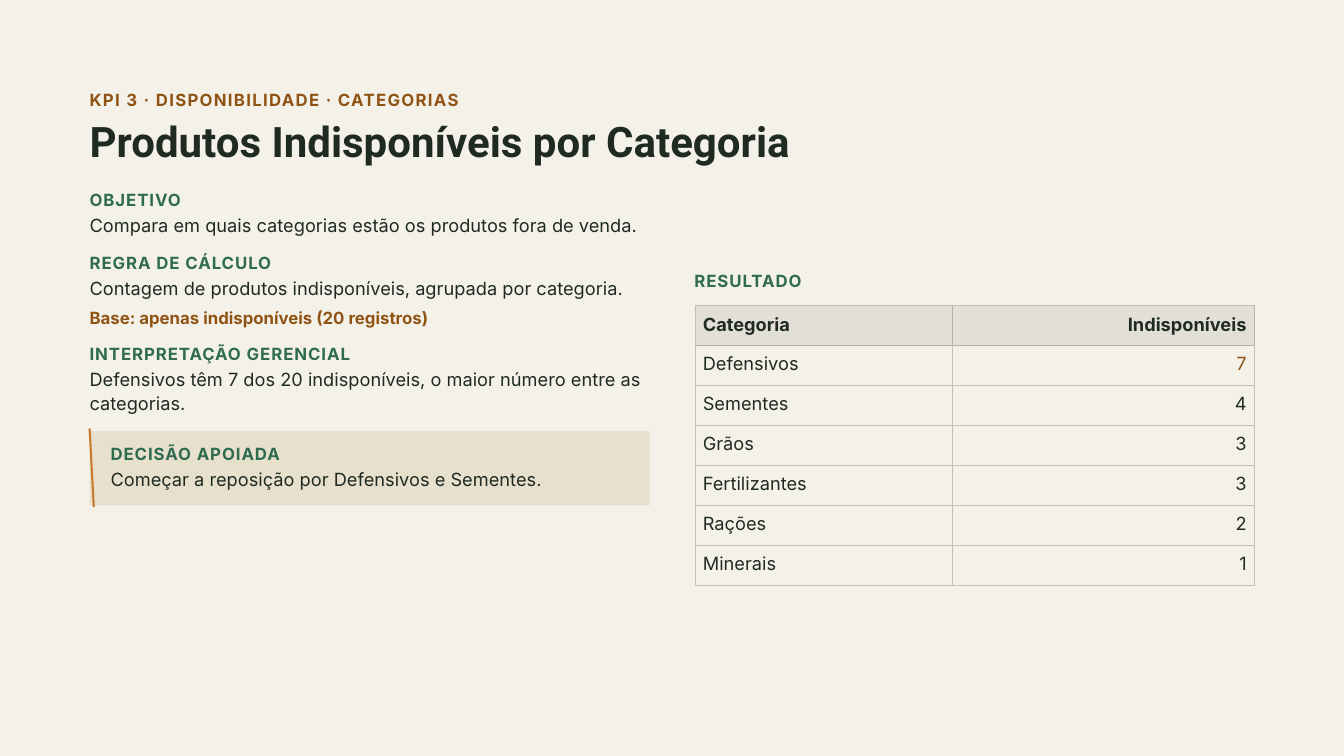
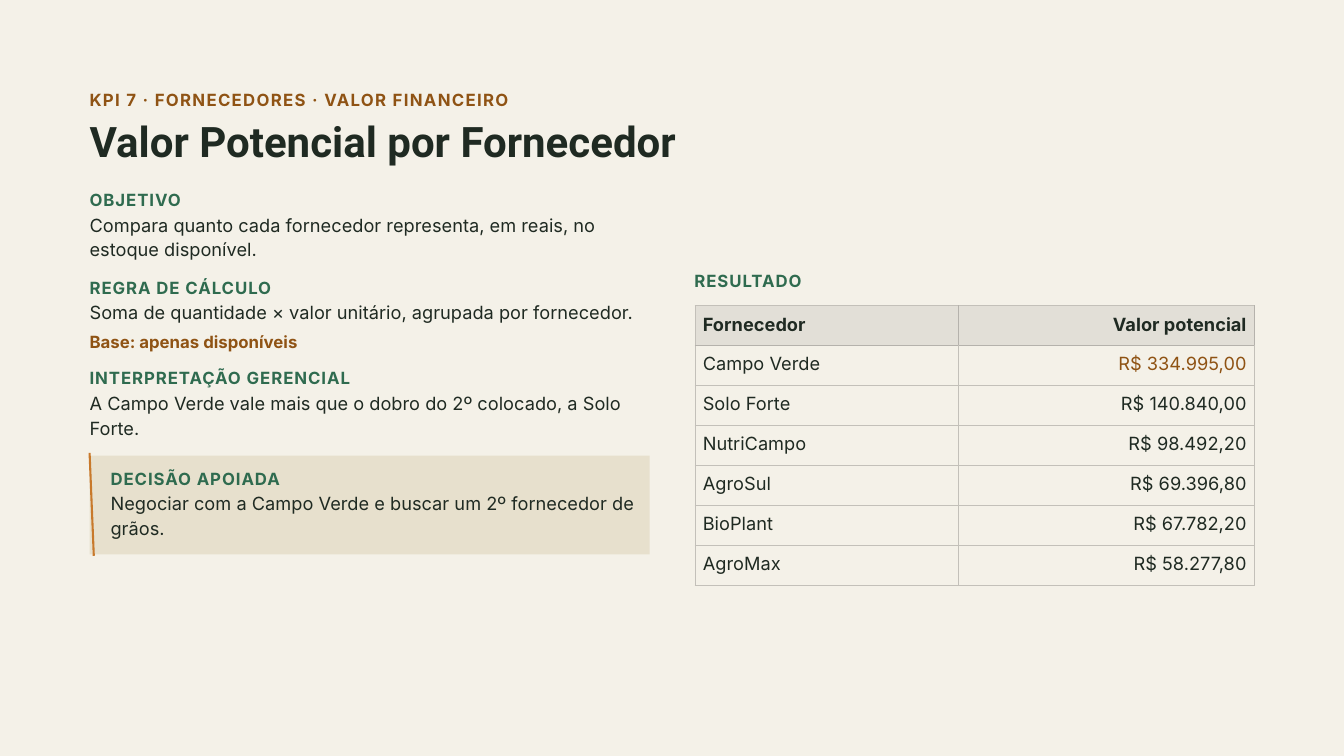
from lxml.etree import SubElement
from pptx import Presentation
from pptx.dml.color import RGBColor
from pptx.enum.shapes import MSO_CONNECTOR as Connector, MSO_SHAPE as Shape
from pptx.enum.text import MSO_ANCHOR as Anchor, MSO_AUTO_SIZE as AutoSize, PP_ALIGN as Align
from pptx.oxml.ns import qn
from pptx.util import Pt

PX = 9525  # EMU per px, slide is 1920 x 1080 px
COLORS = {
    "paper": "F4F1E8", "ink": "1F2A22", "green": "2F6B4F", "brown": "8F5314",
    "orange": "C8792B", "sand": "E7E0CD", "header": "E2DFD7",
    "grid": "C3C0B9", "header_grid": "B5B2AC",
}
# Text styles: font values, colour, exact line height and letter spacing (pt)
STYLES = {
    "eyebrow": ({"name": "Inter", "size": Pt(18), "bold": True}, "brown", 21.6, 1.4),
    "title": ({"name": "Roboto", "size": Pt(45), "bold": True}, "ink", 49.5, 0),
    "label": ({"name": "Inter", "size": Pt(18), "bold": True}, "green", 21.6, 1),
    "body": ({"name": "Inter", "size": Pt(19.5), "bold": False}, "ink", 26.3, 0),
    "base": ({"name": "Inter", "size": Pt(18), "bold": True}, "brown", 24.3, 0),
    "cell": ({"name": "Inter", "size": Pt(19.5), "bold": False}, "ink", 23.4, 0),
    "top_cell": ({"name": "Inter", "size": Pt(19.5), "bold": False}, "brown", 23.4, 0),
    "head_cell": ({"name": "Inter", "size": Pt(19.5), "bold": True}, "ink", 23.4, 0),
}
MARGIN, COLUMN = 128, 824
LABEL_STEP, LINE_STEP, SECTION_GAP = 31, 35, 24
ROW_HEIGHT = 57

# Each text comes with the number of lines it takes
KPIS = [
    {
        "eyebrow": "KPI 3 · DISPONIBILIDADE · CATEGORIAS",
        "title": "Produtos Indisponíveis por Categoria",
        "goal": ("Compara em quais categorias estão os produtos fora de venda.", 1),
        "rule": ("Contagem de produtos indisponíveis, agrupada por categoria.", 1),
        "base": "Base: apenas indisponíveis (20 registros)",
        "reading": ("Defensivos têm 7 dos 20 indisponíveis, o maior número entre as categorias.", 2),
        "decision": ("Começar a reposição por Defensivos e Sementes.", 1),
        "columns": (368, 431),
        "result": [
            ("Categoria", "Indisponíveis"), ("Defensivos", "7"), ("Sementes", "4"),
            ("Grãos", "3"), ("Fertilizantes", "3"), ("Rações", "2"), ("Minerais", "1"),
        ],
    },
    {
        "eyebrow": "KPI 7 · FORNECEDORES · VALOR FINANCEIRO",
        "title": "Valor Potencial por Fornecedor",
        "goal": ("Compara quanto cada fornecedor representa, em reais, no estoque disponível.", 2),
        "rule": ("Soma de quantidade × valor unitário, agrupada por fornecedor.", 1),
        "base": "Base: apenas disponíveis",
        "reading": ("A Campo Verde vale mais que o dobro do 2º colocado, a Solo Forte.", 2),
        "decision": ("Negociar com a Campo Verde e buscar um 2º fornecedor de grãos.", 2),
        "columns": (376, 423),
        "result": [
            ("Fornecedor", "Valor potencial"), ("Campo Verde", "R$ 334.995,00"),
            ("Solo Forte", "R$ 140.840,00"), ("NutriCampo", "R$ 98.492,20"),
            ("AgroSul", "R$ 69.396,80"), ("BioPlant", "R$ 67.782,20"),
            ("AgroMax", "R$ 58.277,80"),
        ],
    },
]


def rgb(color):
    return RGBColor.from_string(COLORS[color])


class Deck:
    def __init__(self):
        self.prs = Presentation()
        self.prs.slide_width, self.prs.slide_height = 1920 * PX, 1080 * PX
        paper = self.prs.slide_master.background.fill
        paper.solid()
        paper.fore_color.rgb = rgb("paper")
        self.slide = None

    def new_slide(self):
        self.slide = self.prs.slides.add_slide(self.prs.slide_layouts[5])

    def set_text(self, frame, text, style, align=Align.LEFT):
        font_values, color, line_height, spacing = STYLES[style]
        paragraph = frame.paragraphs[0]
        paragraph.alignment = align
        paragraph.line_spacing = Pt(line_height)
        run = paragraph.add_run()
        run.text = text
        for key, value in font_values.items():
            setattr(run.font, key, value)
        run.font.color.rgb = rgb(color)
        if spacing:
            run._r.get_or_add_rPr().set("spc", str(round(spacing * 100)))

    def fit_frame(self, frame):
        values = {
            "margin_left": 0, "margin_top": 0, "margin_right": 0, "margin_bottom": 0,
            "word_wrap": True, "auto_size": AutoSize.SHAPE_TO_FIT_TEXT,
            "vertical_anchor": Anchor.TOP,
        }
        for key, value in values.items():
            setattr(frame, key, value)

    def title(self, text, x, y, w, h):
        title = self.slide.shapes.title
        for key, value in {"left": x, "top": y, "width": w, "height": h}.items():
            setattr(title, key, value * PX)
        self.fit_frame(title.text_frame)
        self.set_text(title.text_frame, text, "title")

    def text(self, text, style, x, y, w, h):
        box = self.slide.shapes.add_textbox(x * PX, y * PX, w * PX, h * PX)
        self.fit_frame(box.text_frame)
        self.set_text(box.text_frame, text, style)

    def section(self, label, content, x, y, w=COLUMN):
        """Draws a label over its text and returns the y where the text ends."""
        text, lines = content
        self.text(label, "label", x, y, w, 33)
        y += LABEL_STEP
        self.text(text, "body", x, y, w, lines * LINE_STEP + 8)
        return y + lines * LINE_STEP

    def panel(self, x, y, w, h):
        panel = self.slide.shapes.add_shape(Shape.RECTANGLE, x * PX, y * PX, w * PX, h * PX)
        panel.shadow.inherit = False
        panel.fill.solid()
        panel.fill.fore_color.rgb = rgb("sand")
        panel.line.fill.background()

    def line(self, x1, y1, x2, y2):
        line = self.slide.shapes.add_connector(
            Connector.STRAIGHT, x1 * PX, y1 * PX, x2 * PX, y2 * PX)
        line.line.color.rgb = rgb("orange")
        line.line.width = Pt(2.25)
        SubElement(line._element.spPr, qn("a:effectLst"))

    def borders(self, cell, colors):
        properties = cell._tc.get_or_add_tcPr()
        for side in "LRTB":
            border = SubElement(properties, qn(f"a:ln{side}"), w=str(Pt(1)))
            fill = SubElement(border, qn("a:solidFill"))
            SubElement(fill, qn("a:srgbClr"), val=COLORS[colors.get(side, "grid")])

    def table(self, rows, columns, x, y):
        table = self.slide.shapes.add_table(
            len(rows), len(columns), x * PX, y * PX,
            sum(columns) * PX, len(rows) * ROW_HEIGHT * PX).table
        table.first_row = table.horz_banding = False
        for column, width in zip(table.columns, columns):
            column.width = width * PX
        for r, row in enumerate(rows):
            for c, value in enumerate(row):
                cell = table.cell(r, c)
                for side in ("left", "top", "right", "bottom"):
                    setattr(cell, f"margin_{side}", 11 * PX)
                # The header's edges are darker than the rest of the grid
                dark = {0: "LRB" if c else "RB", 1: "T"}.get(r, "")
                self.borders(cell, dict.fromkeys(dark, "header_grid"))
                if r == 0:
                    cell.fill.solid()
                    cell.fill.fore_color.rgb = rgb("header")
                else:
                    cell.fill.background()
                style = "head_cell" if r == 0 else "top_cell" if (r, c) == (1, 1) else "cell"
                self.set_text(cell.text_frame, value, style, Align.RIGHT if c else Align.LEFT)


def build_kpi(deck, kpi):
    deck.new_slide()

    # Heading
    deck.text(kpi["eyebrow"], "eyebrow", MARGIN, 128, 1714, 33)
    deck.title(kpi["title"], MARGIN, 171, 1714, 68)

    # Explanation, flowing down the left column
    y = deck.section("OBJETIVO", kpi["goal"], MARGIN, 271)
    y = deck.section("REGRA DE CÁLCULO", kpi["rule"], MARGIN, y + SECTION_GAP)
    base_y = y + 9
    deck.text(kpi["base"], "base", MARGIN, base_y, COLUMN, 39)
    y = deck.section("INTERPRETAÇÃO GERENCIAL", kpi["reading"], MARGIN, base_y + 55)

    # Decision panel with its slanted edge
    panel_y = y + SECTION_GAP
    panel_h = 71 + kpi["decision"][1] * LINE_STEP
    deck.panel(MARGIN, panel_y, 800, panel_h)
    deck.line(MARGIN, panel_y - 4, MARGIN + 6, panel_y + panel_h + 2)
    deck.section("DECISÃO APOIADA", kpi["decision"], MARGIN + 30, panel_y + 18, 768)

    # Result table
    deck.text("RESULTADO", "label", 992, 386, COLUMN, 33)
    deck.table(kpi["result"], kpi["columns"], 993, 437)


def main():
    deck = Deck()
    for kpi in KPIS:
        build_kpi(deck, kpi)
    deck.prs.save("out.pptx")


if __name__ == "__main__":
    main()
